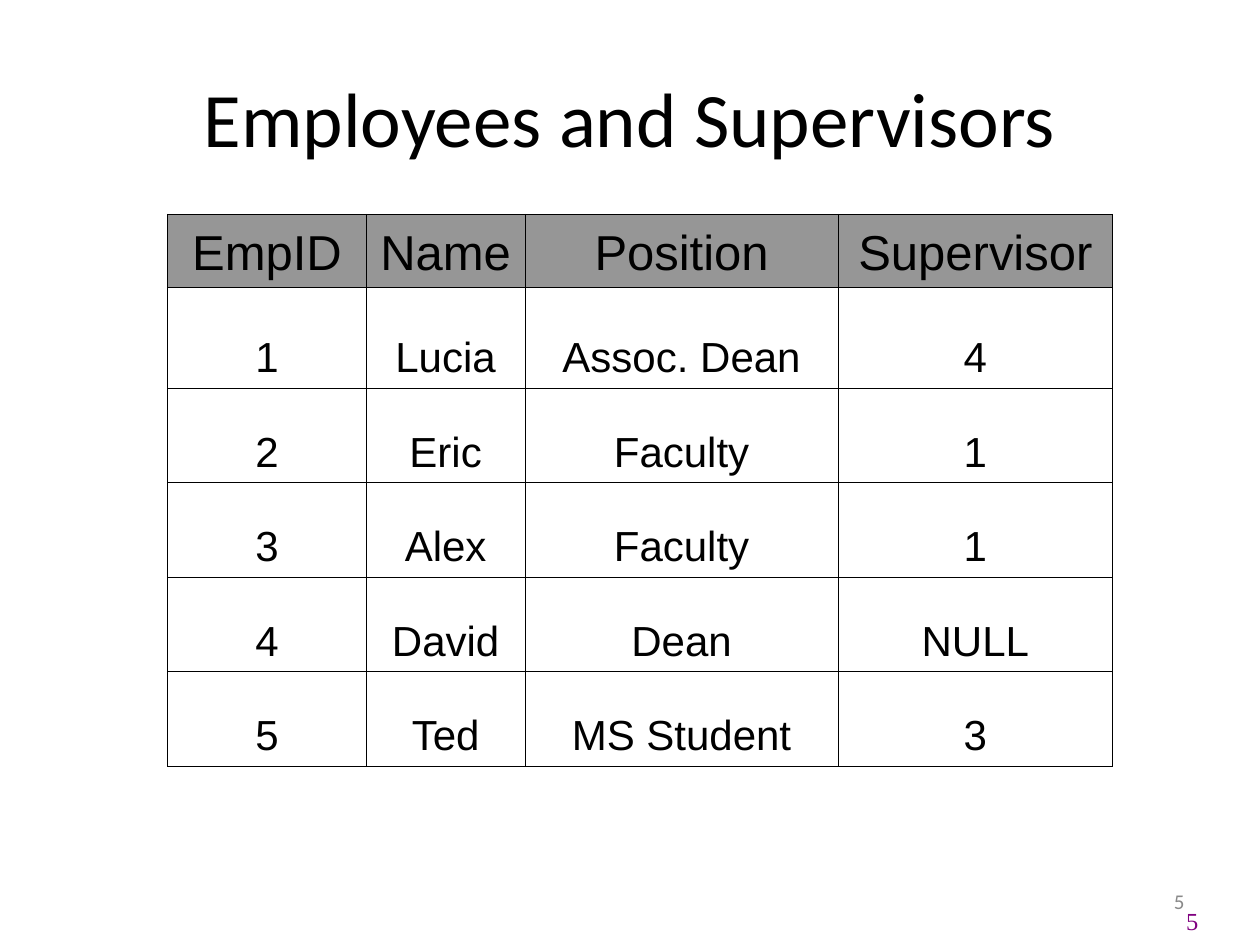
import pptx
import pptx.dml.color
import pptx.enum.text
import pptx.oxml
import pptx.oxml.ns
import pptx.util

Inches, Pt = pptx.util.Inches, pptx.util.Pt
RGBColor = pptx.dml.color.RGBColor
Align, Anchor = pptx.enum.text.PP_ALIGN, pptx.enum.text.MSO_ANCHOR

BLACK = RGBColor(0x00, 0x00, 0x00)
WHITE = RGBColor(0xFF, 0xFF, 0xFF)
HEADER_GRAY = RGBColor(0x96, 0x96, 0x96)
NUMBER_GRAY = RGBColor(0x89, 0x89, 0x89)
PURPLE = RGBColor(0x80, 0x00, 0x80)

COLUMN_WIDTHS = (1.58, 1.26, 2.49, 2.18)
ROW_HEIGHTS = (0.58, 0.8) + (0.75,) * 4
EMPLOYEES = (
    ("EmpID", "Name", "Position", "Supervisor"),
    ("1", "Lucia", "Assoc. Dean", "4"),
    ("2", "Eric", "Faculty", "1"),
    ("3", "Alex", "Faculty", "1"),
    ("4", "David", "Dean", "NULL"),
    ("5", "Ted", "MS Student", "3"),
)


def write_text(text_frame, text, font_name, size, color, alignment):
    """Fill a text frame with one formatted paragraph."""
    text_frame.text = text
    paragraph = text_frame.paragraphs[0]
    paragraph.alignment = alignment
    paragraph.font.name = font_name
    paragraph.font.size = Pt(size)
    paragraph.font.color.rgb = color


def add_title(slide, box, text):
    """Place and format the title placeholder in the box."""
    title = slide.shapes.title
    title.left, title.top, title.width, title.height = map(Inches, box)
    title.text_frame.vertical_anchor = Anchor.MIDDLE
    write_text(title.text_frame, text, "Calibri", 44, BLACK, Align.CENTER)


def add_page_number(slide, box, text, font_name, size, color, anchor):
    """Add a right-aligned page number in the box."""
    text_frame = slide.shapes.add_textbox(*map(Inches, box)).text_frame
    text_frame.word_wrap = True
    text_frame.vertical_anchor = anchor
    write_text(text_frame, text, font_name, size, color, Align.RIGHT)


def add_borders(cell, color, width):
    """Draw a solid line on all four sides of a cell."""
    properties = cell._tc.get_or_add_tcPr()
    for side in ("lnL", "lnR", "lnT", "lnB"):
        properties.append(pptx.oxml.parse_xml(
            f'<a:{side} {pptx.oxml.ns.nsdecls("a")} w="{Pt(width)}">'
            f'<a:solidFill><a:srgbClr val="{color}"/></a:solidFill></a:{side}>'))


def add_employee_table(slide, box):
    """Add the bordered employee table in the box."""
    table = slide.shapes.add_table(
        len(ROW_HEIGHTS), len(COLUMN_WIDTHS), *map(Inches, box)).table
    table.horz_banding = False
    for column, width in zip(table.columns, COLUMN_WIDTHS):
        column.width = Inches(box[2] * width / sum(COLUMN_WIDTHS))
    for row, height, values in zip(table.rows, ROW_HEIGHTS, EMPLOYEES):
        row.height = Inches(box[3] * height / sum(ROW_HEIGHTS))
        is_header = values is EMPLOYEES[0]
        for cell, value in zip(row.cells, values):
            add_borders(cell, BLACK, 0.45)
            cell.fill.solid()
            cell.fill.fore_color.rgb = HEADER_GRAY if is_header else WHITE
            cell.vertical_anchor = Anchor.BOTTOM
            write_text(cell.text_frame, value, "Arial", 28 if is_header else 24,
                       BLACK, Align.CENTER)
            cell.text_frame.paragraphs[0].font.bold = False


def main():
    """Build and save the employee slide."""
    presentation = pptx.Presentation()
    presentation.slide_width, presentation.slide_height = Inches(10), Inches(7.5)
    slide = presentation.slides.add_slide(presentation.slide_layouts[5])
    add_title(slide, (0.5, 0.3, 9, 1.25), "Employees and Supervisors")
    add_page_number(slide, (7.21, 6.97, 2.4, 0.5), "5", "Times New Roman", 14,
                    PURPLE, Anchor.BOTTOM)
    add_employee_table(slide, (1.33, 1.7, 7.5, 4.38))
    add_page_number(slide, (7.17, 6.95, 2.33, 0.4), "5", "Calibri", 12,
                    NUMBER_GRAY, Anchor.MIDDLE)
    presentation.save("out.pptx")


if __name__ == "__main__":
    main()
